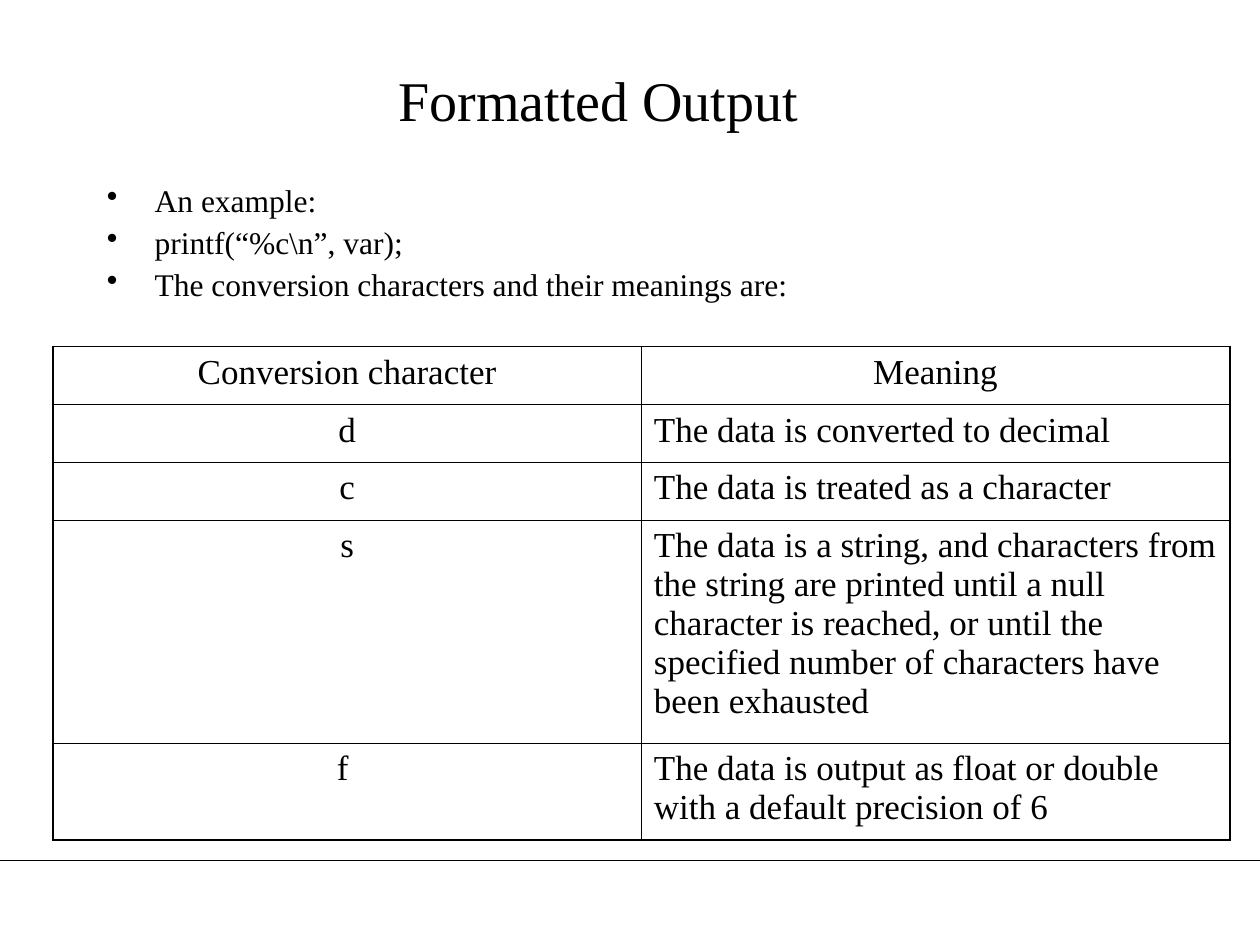
from lxml.etree import SubElement
from pptx import Presentation
from pptx.dml.color import RGBColor
from pptx.enum.shapes import MSO_CONNECTOR
from pptx.enum.text import MSO_ANCHOR, PP_ALIGN
from pptx.oxml import parse_xml
from pptx.oxml.ns import nsdecls, qn
from pptx.util import Inches, Pt

BLACK = "000000"
FONT = "Times New Roman"


def color(value):
    return RGBColor.from_string(value)


def style(paragraph, size, align=PP_ALIGN.LEFT):
    paragraph.alignment = align
    paragraph.font.name = FONT
    paragraph.font.size = Pt(size)
    paragraph.font.color.rgb = color(BLACK)


deck = Presentation()
deck.slide_width, deck.slide_height = Inches(10), Inches(7.5)
page = deck.slides.add_slide(deck.slide_layouts[5])

# Footer rule
rule = page.shapes.add_connector(
    MSO_CONNECTOR.STRAIGHT, Inches(0), Inches(6.83), Inches(10), Inches(6.83))
rule.line.color.rgb = color(BLACK)
rule.line.width = Pt(0.75)
SubElement(rule._element.spPr, qn("a:effectLst"))

# Title
title = page.shapes.title
title.left, title.top = Inches(0.5), Inches(0.25)
title.width, title.height = Inches(8.5), Inches(1.08)
title.text_frame.text = "Formatted Output"
title.text_frame.vertical_anchor = MSO_ANCHOR.MIDDLE
style(title.text_frame.paragraphs[0], 32, PP_ALIGN.CENTER)

# Bullets
bullets = ["An example:", "printf(“%c\\n”, var);",
           "The conversion characters and their meanings are:"]
box = page.shapes.add_textbox(Inches(0.75), Inches(1.42), Inches(8), Inches(1.08))
frame = box.text_frame
frame.word_wrap = True
for index, text in enumerate(bullets):
    para = frame.paragraphs[0] if index == 0 else frame.add_paragraph()
    para.text = text
    para.line_spacing = 0.9
    if index:
        para.space_before = Pt(4.5)
    properties = para._p.get_or_add_pPr()
    properties.set("marL", str(Inches(0.38)))
    properties.set("indent", str(-Inches(0.38)))
    SubElement(properties, qn("a:buChar")).set("char", "•")
    style(para, 18)

# Conversion table
rows = [
    ("Conversion character", "Meaning"),
    ("d", "The data is converted to decimal"),
    ("c", "The data is treated as a character"),
    ("s", "The data is a string, and characters from the string are printed until "
          "a null character is reached, or until the specified number of characters "
          "have been exhausted"),
    ("f ", "The data is output as float or double with a default precision of 6"),
]
heights = [0.46, 0.46, 0.46, 1.77, 0.77]
table = page.shapes.add_table(
    len(rows), 2, Inches(0.42), Inches(2.75), Inches(9.34), Inches(sum(heights))).table
table.first_row = table.horz_banding = False
for column in table.columns:
    column.width = Inches(4.67)

for r, (texts, height) in enumerate(zip(rows, heights)):
    table.rows[r].height = Inches(height)
    for c, text in enumerate(texts):
        cell = table.cell(r, c)
        cell.text = text
        centered = r == 0 or c == 0
        style(cell.text_frame.paragraphs[0], 20,
              PP_ALIGN.CENTER if centered else PP_ALIGN.LEFT)
        cell.fill.background()

        # Outer borders are heavier than inner ones
        outer = {"L": c == 0, "R": c == 1, "T": r == 0, "B": r == len(rows) - 1}
        for place, (side, heavy) in enumerate(outer.items()):
            width = Pt(1.08 if heavy else 0.45)
            cell._tc.get_or_add_tcPr().insert(place, parse_xml(
                f'<a:ln{side} {nsdecls("a")} w="{width}"><a:solidFill>'
                f'<a:srgbClr val="{BLACK}"/></a:solidFill></a:ln{side}>'))

deck.save("out.pptx")
